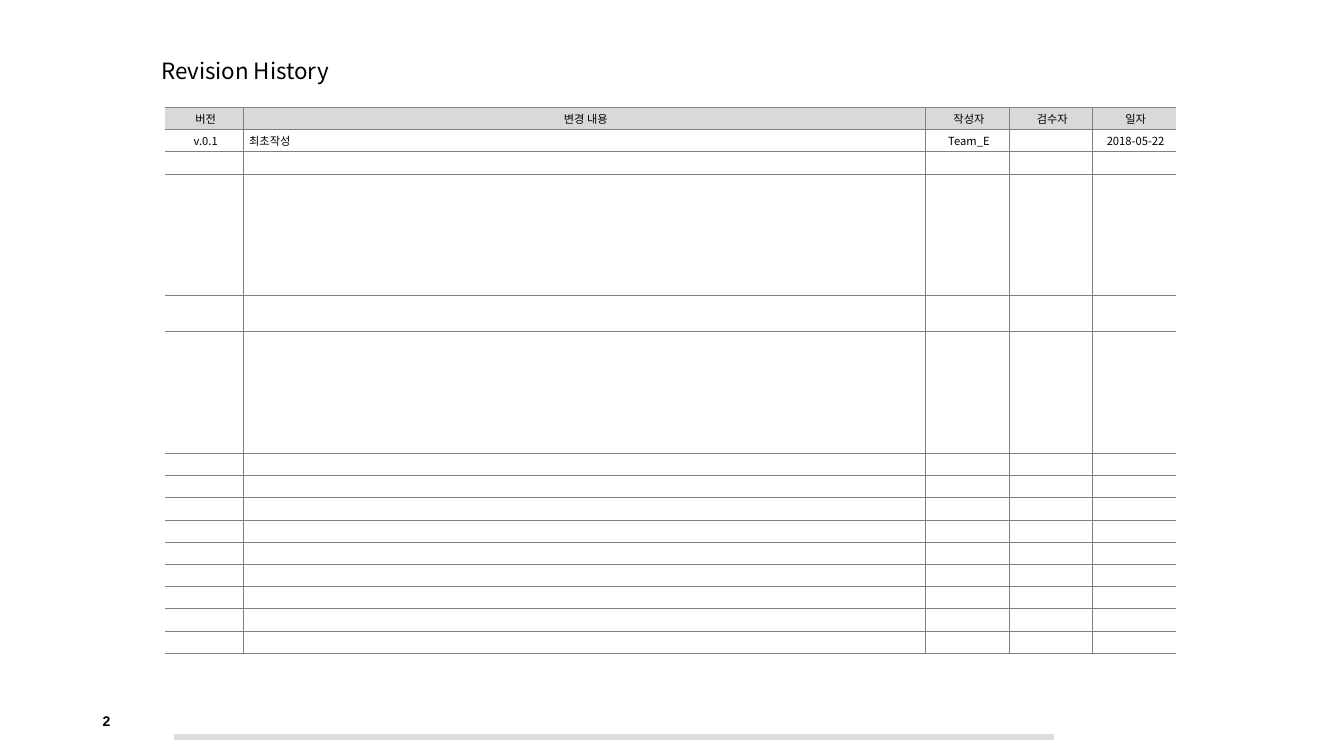
from dataclasses import dataclass

from lxml.etree import SubElement
from pptx import Presentation
from pptx.dml.color import RGBColor
from pptx.enum.shapes import MSO_CONNECTOR
from pptx.enum.text import MSO_ANCHOR, PP_ALIGN
from pptx.oxml.ns import qn
from pptx.util import Cm, Pt


@dataclass(frozen=True)
class Theme:
    text: RGBColor = RGBColor.from_string("000000")
    header: RGBColor = RGBColor.from_string("D9D9D9")
    footer: RGBColor = RGBColor.from_string("DDDDDD")
    grid: str = "808080"
    font: str = "Noto Sans CJK KR"
    number_font: str = "Arial"
    title_size: Pt = Pt(16)
    number_size: Pt = Pt(10)
    table_size: Pt = Pt(8)
    grid_width: Pt = Pt(0.5)
    footer_width: Pt = Pt(4.5)


theme = Theme()


def add_text(paragraph, text, size, name=theme.font, bold=False):
    run = paragraph.add_run()
    run.text = text
    for attribute, value in {"size": size, "name": name, "bold": bold}.items():
        setattr(run.font, attribute, value)
    run.font.color.rgb = theme.text
    SubElement(run._r.get_or_add_rPr(), qn("a:ea"), typeface=name)


def add_border(cell, side, visible):
    border = SubElement(cell._tc.get_or_add_tcPr(), qn(f"a:ln{side}"), w=str(theme.grid_width))
    if visible:
        fill = SubElement(border, qn("a:solidFill"))
        SubElement(fill, qn("a:srgbClr"), val=theme.grid)
    else:
        SubElement(border, qn("a:noFill"))


presentation = Presentation()
presentation.slide_width, presentation.slide_height = Cm(33.87), Cm(19.05)
slide = presentation.slides.add_slide(presentation.slide_layouts[5])

# Footer rule and page number
footer_line = slide.shapes.add_connector(
    MSO_CONNECTOR.STRAIGHT, Cm(4.38), Cm(18.57), Cm(26.57), Cm(18.57))
footer_line.line.color.rgb = theme.footer
footer_line.line.width = theme.footer_width
SubElement(footer_line._element.spPr, qn("a:effectLst"))

page_number = slide.shapes.add_textbox(Cm(2.34), Cm(17.65), Cm(7.62), Cm(1.02))
page_number.text_frame.word_wrap = True
page_number.text_frame.vertical_anchor = MSO_ANCHOR.MIDDLE
add_text(page_number.text_frame.paragraphs[0], "2", theme.number_size, theme.number_font, True)

# Title
title = slide.shapes.title
title_format = {"left": Cm(4.06), "top": Cm(1.32), "width": Cm(10), "height": Cm(0.99)}
for attribute, value in title_format.items():
    setattr(title, attribute, value)
frame_format = {"margin_left": 0, "margin_right": 0, "margin_top": 0, "margin_bottom": 0,
                "vertical_anchor": MSO_ANCHOR.MIDDLE, "word_wrap": True}
for attribute, value in frame_format.items():
    setattr(title.text_frame, attribute, value)
title_paragraph = title.text_frame.paragraphs[0]
title_paragraph.alignment = PP_ALIGN.LEFT
title_paragraph.line_spacing = 0.9
add_text(title_paragraph, "Revision History", theme.title_size)

# Revision table
records = [
    ["버전", "변경 내용", "작성자", "검수자", "일자"],
    ["v.0.1", "최초작성", "Team_E", "", "2018-05-22"],
]
column_widths = [Cm(1.95), Cm(17.21)] + [Cm(2.1)] * 3
single, double, tall = Cm(0.56), Cm(0.92), Cm(3.06)
row_heights = [single] * 3 + [tall, double, tall] + [single] * 9
records += [[""] * len(column_widths)] * (len(row_heights) - len(records))

table = slide.shapes.add_table(
    len(row_heights), len(column_widths), Cm(4.17), Cm(2.7),
    sum(column_widths), sum(row_heights)).table
table.first_row = table.horz_banding = False
for column, width in zip(table.columns, column_widths):
    column.width = width
for row, height in zip(table.rows, row_heights):
    row.height = height

cell_format = {"margin_left": Cm(0.08), "margin_right": Cm(0.08), "margin_top": Cm(0.05),
               "margin_bottom": Cm(0.05), "vertical_anchor": MSO_ANCHOR.MIDDLE}
last_column = len(column_widths) - 1
for row_index, record in enumerate(records):
    for column_index, text in enumerate(record):
        cell = table.cell(row_index, column_index)
        for attribute, value in cell_format.items():
            setattr(cell, attribute, value)
        borders = {"L": column_index > 0, "R": column_index < last_column, "T": True, "B": True}
        for side, visible in borders.items():
            add_border(cell, side, visible)
        if row_index == 0:
            cell.fill.solid()
            cell.fill.fore_color.rgb = theme.header
        else:
            cell.fill.background()

        paragraph = cell.text_frame.paragraphs[0]
        is_description = row_index > 0 and column_index == 1
        paragraph.alignment = PP_ALIGN.LEFT if is_description else PP_ALIGN.CENTER
        paragraph.line_spacing = Pt(12)
        paragraph._p.get_or_add_pPr().set("marL", str(Cm(0.08)))
        if text:
            add_text(paragraph, text, theme.table_size)
        else:
            SubElement(paragraph._p, qn("a:endParaRPr"), sz=str(int(theme.table_size.pt * 100)))

presentation.save("out.pptx")
